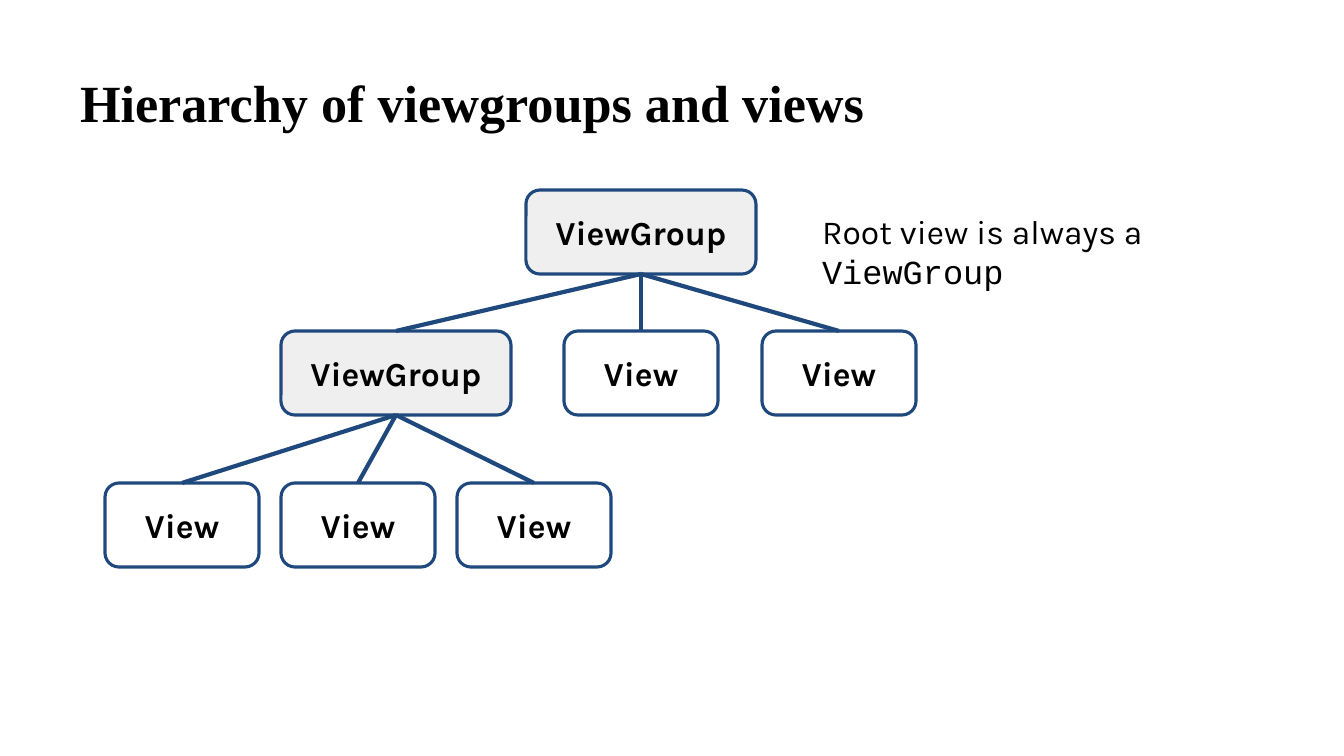
from pptx import Presentation
from pptx.dml.color import RGBColor
from pptx.enum.shapes import MSO_CONNECTOR as Connector, MSO_SHAPE as Shape
from pptx.enum.text import MSO_ANCHOR as Anchor, MSO_AUTO_SIZE as AutoSize, PP_ALIGN as Align
from pptx.oxml import parse_xml
from pptx.oxml.ns import nsdecls
from pptx.util import Emu, Pt

PX_PER_INCH = 100.8
BLACK, WHITE, GREY, NAVY = "000000", "FFFFFF", "EFEFEF", "1F497D"
TOP_SITE, BOTTOM_SITE = 0, 2
NODE_HEIGHT = 84
NODE_STYLES = {"ViewGroup": (230, GREY), "View": (154, WHITE)}


def px(length):
    return Emu(round(length * 914400 / PX_PER_INCH))


def color(value):
    return RGBColor.from_string(value)


def add_run(para, text, font, size, bold=False):
    span = para.add_run()
    span.text = text
    span.font.name = font
    span.font.size = Pt(size)
    span.font.bold = bold
    span.font.color.rgb = color(BLACK)


def set_frame(frame, anchor, inset_x, inset_y):
    frame.word_wrap = True
    frame.auto_size = AutoSize.NONE
    frame.vertical_anchor = anchor
    frame.margin_left = frame.margin_right = px(inset_x)
    frame.margin_top = frame.margin_bottom = px(inset_y)
    return frame.paragraphs[0]


def add_title(page, left, top, width, height):
    title = page.shapes.title
    title.left, title.top = px(left), px(top)
    title.width, title.height = px(width), px(height)
    para = set_frame(title.text_frame, Anchor.MIDDLE, 10, 5)
    para.alignment = Align.LEFT
    add_run(para, "Hierarchy of viewgroups and views", "Times New Roman", 37.3, True)


def add_node(page, label, left, top):
    width, fill = NODE_STYLES[label]
    node = page.shapes.add_shape(
        Shape.ROUNDED_RECTANGLE, px(left), px(top), px(width), px(NODE_HEIGHT))
    node.shadow.inherit = False
    node.adjustments[0] = 0.167
    node.fill.solid()
    node.fill.fore_color.rgb = color(fill)
    node.line.color.rgb = color(NAVY)
    node.line.width = Pt(2.25)
    para = set_frame(node.text_frame, Anchor.MIDDLE, 13, 13)
    para.alignment = Align.CENTER
    add_run(para, label, "Karla", 24, True)
    return node


def add_branch(page, parent, child):
    branch = page.shapes.add_connector(Connector.STRAIGHT, 0, 0, 0, 0)
    branch.begin_connect(parent, BOTTOM_SITE)
    branch.end_connect(child, TOP_SITE)
    branch.line.color.rgb = color(NAVY)
    branch.line.width = Pt(3)
    branch._element.spPr.append(parse_xml(f"<a:effectLst {nsdecls('a')}/>"))


def add_tree(page, left, top):
    root = add_node(page, "ViewGroup", left + 421, top)
    children = [add_node(page, label, left + offset, top + 141)
                for label, offset in (("ViewGroup", 176), ("View", 459), ("View", 657))]
    leaves = [add_node(page, "View", left + 176 * column, top + 293)
              for column in range(3)]
    for parent, level in ((root, children), (children[0], leaves)):
        for child in level:
            add_branch(page, parent, child)


def add_note(page, left, top, width, height):
    note = page.shapes.add_textbox(px(left), px(top), px(width), px(height))
    para = set_frame(note.text_frame, Anchor.TOP, 13, 13)
    add_run(para, "Root view is always a ", "Karla", 24)
    add_run(para, "ViewGroup", "Courier New", 24)


def main():
    deck = Presentation()
    deck.slide_width, deck.slide_height = px(1344), px(756)
    page = deck.slides.add_slide(deck.slide_layouts.get_by_name("Title Only"))
    add_title(page, 70, 56, 1210, 91)
    add_tree(page, 105, 190)
    add_note(page, 809, 198, 530, 57)
    deck.save("out.pptx")


if __name__ == "__main__":
    main()
